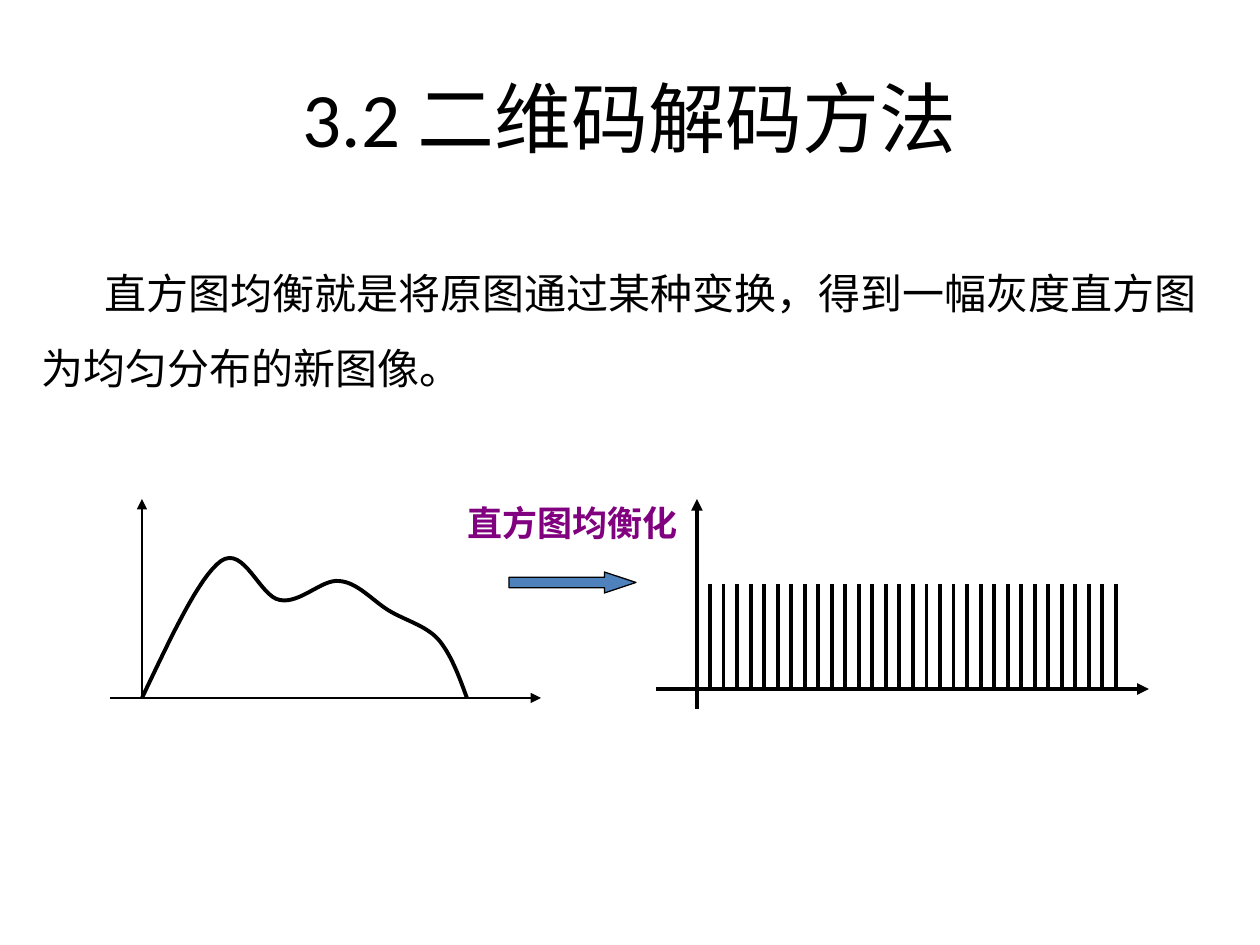
from lxml import etree
from pptx import Presentation
from pptx.dml.color import RGBColor
from pptx.enum.shapes import MSO_CONNECTOR, MSO_SHAPE
from pptx.enum.text import MSO_ANCHOR, PP_ALIGN
from pptx.oxml.ns import qn
from pptx.util import Pt

SCALE = 914400 // 126
BLACK = RGBColor(0x00, 0x00, 0x00)
BLUE = RGBColor(0x4F, 0x81, 0xBD)
PURPLE = RGBColor(0x80, 0x00, 0x80)
STRAIGHT = MSO_CONNECTOR.STRAIGHT
RIGHT_ARROW = MSO_SHAPE.RIGHT_ARROW
MIDDLE, TOP = MSO_ANCHOR.MIDDLE, MSO_ANCHOR.TOP
CENTER, LEFT = PP_ALIGN.CENTER, PP_ALIGN.LEFT
BODY_FONT, LABEL_FONT = "Calibri", "Noto Sans CJK SC"
THIN, THICK = 0.75, 2.25
BAR_COUNT = 31
CURVE_STEPS = 16

# Curve start, then two control points and an end point per segment
CURVE_START = (32, 199)
CURVE_SEGMENTS = [
    ((61, 138), (89, 78), (111, 62)),
    ((134, 46), (150, 98), (170, 101)),
    ((190, 105), (212, 80), (229, 82)),
    ((247, 83), (262, 101), (278, 111)),
    ((294, 121), (315, 126), (328, 140)),
    ((341, 155), (349, 177), (357, 199)),
]


def px(value):
    return round(value * SCALE)


def add_text(slide, box, text, size, font, color=BLACK, bold=False,
             align=LEFT, anchor=TOP, wrap=True):
    shape = slide.shapes.add_textbox(*map(px, box))
    frame = shape.text_frame
    frame.word_wrap = wrap
    frame.vertical_anchor = anchor
    paragraph = frame.paragraphs[0]
    paragraph.alignment = align
    run = paragraph.add_run()
    run.text = text
    run.font.size = Pt(size)
    run.font.name = font
    run.font.bold = bold
    run.font.color.rgb = color
    east_asian = etree.SubElement(run.font._element, qn("a:ea"))
    east_asian.set("typeface", font)
    return paragraph


def add_line(slide, start, end, width, arrow=False):
    line = slide.shapes.add_connector(STRAIGHT, *map(px, start + end))
    line.line.color.rgb = BLACK
    line.line.width = Pt(width)
    if arrow:
        properties = line.line._get_or_add_ln()
        etree.SubElement(properties, qn("a:tailEnd")).set("type", "triangle")
    etree.SubElement(line._element.spPr, qn("a:effectLst"))


def add_axes(slide, box, origin_x, baseline, width):
    left, top, span, height = box
    add_line(slide, (left, top + baseline), (left + span, top + baseline), width, True)
    add_line(slide, (left + origin_x, top + height), (left + origin_x, top), width, True)


def curve_points():
    """Points along the cubic segments of the histogram curve."""
    points = [CURVE_START]
    for first, second, end in CURVE_SEGMENTS:
        start = points[-1]
        for step in range(1, CURVE_STEPS + 1):
            t = step / CURVE_STEPS
            u = 1 - t
            points.append(tuple(
                u**3 * a + 3 * u * u * t * b + 3 * u * t * t * c + t**3 * d
                for a, b, c, d in zip(start, first, second, end)))
    return points


def add_original_histogram(slide, box):
    left, top = box[:2]
    add_axes(slide, box, 32, box[3], THIN)
    points = [(px(left + x), px(top + y)) for x, y in curve_points()]
    builder = slide.shapes.build_freeform(*points[0])
    builder.add_line_segments(points[1:], close=False)
    curve = builder.convert_to_shape()
    curve.shadow.inherit = False
    curve.fill.background()
    curve.line.color.rgb = BLACK
    curve.line.width = Pt(THICK)


def add_equalized_histogram(slide, box):
    left, top = box[:2]
    baseline, bar_top, first_bar, last_bar = 190, 85, 54, 460
    add_axes(slide, box, 41, baseline, THICK)
    gap = (last_bar - first_bar) / (BAR_COUNT - 1)
    for index in range(BAR_COUNT):
        x = left + first_bar + index * gap
        add_line(slide, (x, top + bar_top), (x, top + baseline), THICK)


def add_equalization_step(slide, box):
    left, top, width, _ = box
    add_text(slide, (left, top, width, 54), "直方图均衡化", 20, LABEL_FONT,
             PURPLE, bold=True, wrap=False)
    arrow = slide.shapes.add_shape(
        RIGHT_ARROW, px(left + 54), px(top + 77), px(127), px(21))
    arrow.adjustments[0] = 0.5
    arrow.adjustments[1] = 1.5
    arrow.shadow.inherit = False
    arrow.fill.solid()
    arrow.fill.fore_color.rgb = BLUE
    arrow.line.color.rgb = BLACK
    arrow.line.width = Pt(THIN)


def add_body(slide, box):
    paragraph = add_text(
        slide, box,
        "直方图均衡就是将原图通过某种变换，得到一幅灰度直方图为均匀分布的新图像。",
        24, BODY_FONT)
    paragraph.line_spacing = 1.5
    paragraph._p.get_or_add_pPr().set("indent", str(px(63)))


presentation = Presentation()
presentation.slide_width = px(1260)
presentation.slide_height = px(945)
slide = presentation.slides.add_slide(presentation.slide_layouts[6])

# Title and explanation
add_text(slide, (63, 38, 1134, 158), "3.2 二维码解码方法", 44, BODY_FONT,
         align=CENTER, anchor=MIDDLE)
add_body(slide, (29, 236, 1211, 197))

# Histogram before and after equalization
add_equalized_histogram(slide, (656, 499, 493, 210))
add_original_histogram(slide, (110, 499, 431, 199))
add_equalization_step(slide, (455, 495, 236, 98))

presentation.save("out.pptx")
